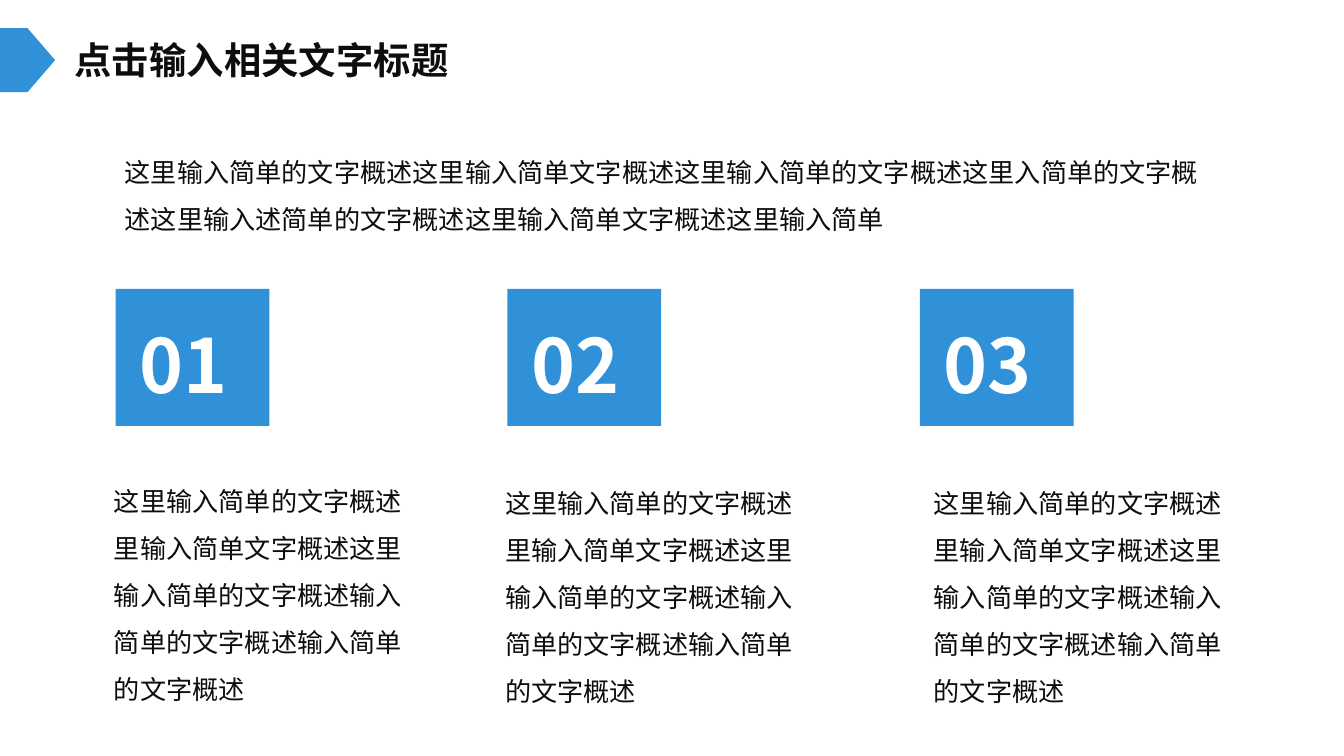
"""Build a slide with a title, an introduction and three numbered columns."""
from dataclasses import dataclass

from lxml import etree
from pptx import Presentation
from pptx import util as u
from pptx.dml.color import RGBColor
from pptx.enum import shapes, text
from pptx.oxml import ns

PX = 4572


@dataclass(frozen=True)
class Theme:
    font: str = "Noto Sans CJK SC"
    accent: str = "3090D8"
    ink: str = "0D0D0D"
    white: str = "FFFFFF"
    title: int = 20
    body: int = 14
    number: int = 40


theme = Theme()


def add_block(slide, preset, *box):
    sp = slide.shapes.add_shape(preset, *[n * PX for n in box])
    sp.shadow.inherit = False
    sp.fill.solid()
    sp.fill.fore_color.rgb = RGBColor.from_string(theme.accent)
    sp.line.fill.background()


def write(sp, box, lines, size, color, bold=False, spacing=1.0, wrap=True):
    sp.left, sp.top, sp.width, sp.height = [n * PX for n in box]
    tf = sp.text_frame
    tf.text = "\n".join(lines)
    tf.word_wrap = wrap
    tf.auto_size = text.MSO_AUTO_SIZE.SHAPE_TO_FIT_TEXT
    tf.vertical_anchor = text.MSO_ANCHOR.TOP
    for p in tf.paragraphs:
        p.alignment = text.PP_ALIGN.LEFT
        p.line_spacing = spacing
        p.font.size = u.Pt(size)
        p.font.bold = bold
        p.font.color.rgb = RGBColor.from_string(color)
        p.font.name = theme.font
        props = p._p.get_or_add_pPr().find(ns.qn("a:defRPr"))
        latin = props.find(ns.qn("a:latin"))
        latin.addnext(etree.Element(ns.qn("a:ea"), typeface=theme.font))


prs = Presentation()
prs.slide_width, prs.slide_height = 2000 * PX, 1125 * PX
s = prs.slides.add_slide(prs.slide_layouts[5])

add_block(s, shapes.MSO_SHAPE.PENTAGON, 0, 42, 82, 95)
write(s.shapes.title, (91, 46, 602, 88), ["点击输入相关文字标题"],
      theme.title, theme.ink, bold=True, wrap=False)

intro = ("这里输入简单的文字概述这里输入简单文字概述这里输入简单的文字概述"
         "这里入简单的文字概述这里输入述简单的文字概述这里输入简单文字概述这里输入简单")
write(s.shapes.add_textbox(0, 0, 0, 0), (166, 200, 1654, 154), [intro],
      theme.body, theme.ink, spacing=1.5)

summary = ["这里输入简单的文字概述里输入简单文字概述这里",
           "输入简单的文字概述输入简单的文字概述输入简单的文字概述"]
columns = [(172, 150, 689), (755, 732, 692), (1369, 1370, 692)]
for i, (square_x, summary_x, summary_y) in enumerate(columns, 1):
    add_block(s, shapes.MSO_SHAPE.RECTANGLE, square_x, 430, 229, 204)
    write(s.shapes.add_textbox(0, 0, 0, 0), (square_x + 16, 465, 196, 154),
          [f"{i:02}"], theme.number, theme.white, bold=True)
    write(s.shapes.add_textbox(0, 0, 0, 0), (summary_x, summary_y, 488, 374),
          summary, theme.body, theme.ink, spacing=1.5)

prs.save("out.pptx")
